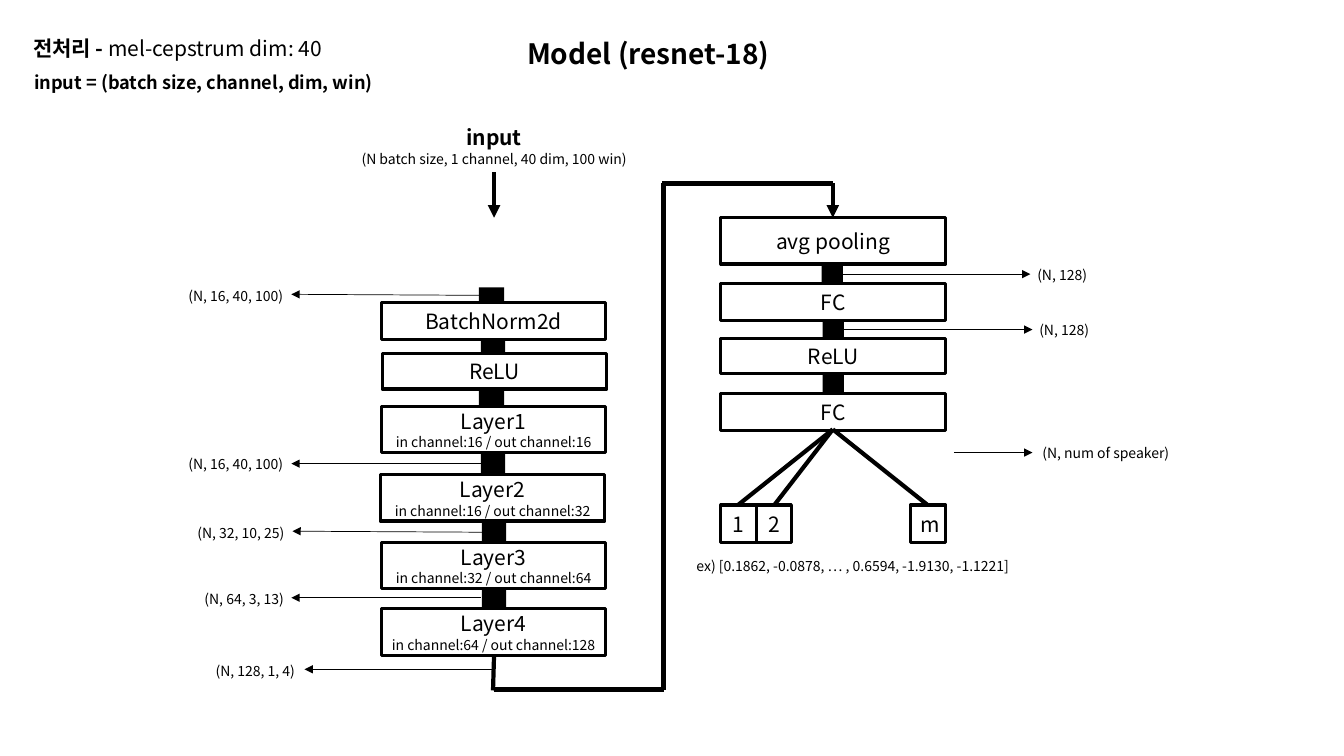
"""Draw the resnet-18 speaker model as a one-slide flow diagram."""
from lxml import etree
from pptx import Presentation
from pptx.dml.color import RGBColor
from pptx.enum import shapes, text
from pptx.oxml import ns
from pptx.util import Inches, Pt

BLACK = RGBColor(0, 0, 0)
FONT = "Noto Sans CJK KR"
LEFT, CENTER = text.PP_ALIGN.LEFT, text.PP_ALIGN.CENTER

deck = Presentation()
deck.slide_width, deck.slide_height = Inches(13.33), Inches(7.5)
page = deck.slides.add_slide(deck.slide_layouts[6])


def write_text(box, lines, align):
    """Fill a box with lines, each a list of (words, size, bold) runs."""
    frame = box.text_frame
    for index, runs in enumerate(lines):
        para = frame.paragraphs[0] if index == 0 else frame.add_paragraph()
        para.alignment = align
        for words, size, bold in runs:
            span = para.add_run()
            span.text = words
            span.font.size, span.font.bold = Pt(size), bold
            span.font.name = FONT
            span.font.color.rgb = BLACK
            east = etree.SubElement(span.font._element, ns.qn("a:ea"))
            east.set("typeface", FONT)


def draw_line(start, end, width, arrow=False):
    """Join two points with a black line, with an arrowhead if asked."""
    line = page.shapes.add_connector(
        shapes.MSO_CONNECTOR.STRAIGHT, *map(Inches, start + end))
    line.line.color.rgb = BLACK
    line.line.width = Pt(width)
    if arrow:
        head = etree.SubElement(line.line._get_or_add_ln(), ns.qn("a:tailEnd"))
        head.set("type", "triangle")
    etree.SubElement(line._element.spPr, ns.qn("a:effectLst"))


blocks = [
    (3.78, 3.0, 2.23, 0.37, "BatchNorm2d", None),
    (3.79, 3.51, 2.23, 0.35, "ReLU", None),
    (3.78, 4.03, 2.23, 0.46, "Layer1", "in channel:16 / out channel:16"),
    (3.77, 4.71, 2.23, 0.46, "Layer2", "in channel:16 / out channel:32"),
    (3.78, 5.38, 2.23, 0.46, "Layer3", "in channel:32 / out channel:64"),
    (3.78, 6.04, 2.23, 0.46, "Layer4", "in channel:64 / out channel:128"),
    (7.15, 2.16, 2.23, 0.46, "avg pooling", None),
    (7.15, 2.81, 2.23, 0.37, "FC", None),
    (7.15, 3.36, 2.23, 0.35, "ReLU", None),
    (7.15, 3.9, 2.23, 0.37, "FC", None),
    (7.15, 5.01, 0.35, 0.37, "1", None),
    (7.5, 5.01, 0.35, 0.37, "2", None),
    (9.03, 5.01, 0.35, 0.37, "m", None),
]
for *place, name, channels in blocks:
    block = page.shapes.add_shape(
        shapes.MSO_SHAPE.RECTANGLE, *map(Inches, place))
    block.shadow.inherit = False
    block.fill.background()
    block.line.color.rgb = BLACK
    block.line.width = Pt(2.25)
    block.text_frame.vertical_anchor = text.MSO_ANCHOR.MIDDLE
    lines = [[(name, 15, False)]]
    if channels:
        lines.append([(channels, 10, False)])
    write_text(block, lines, CENTER)

joints = [
    (4.75, 2.85, 0.25, 0.15), (4.77, 3.38, 0.24, 0.12),
    (4.75, 3.86, 0.25, 0.16), (4.77, 4.49, 0.24, 0.21),
    (4.78, 5.16, 0.24, 0.21), (4.78, 5.84, 0.24, 0.21),
    (8.15, 2.62, 0.21, 0.19), (8.16, 3.17, 0.21, 0.19),
    (8.16, 3.72, 0.21, 0.19),
]
for place in joints:
    joint = page.shapes.add_shape(
        shapes.MSO_SHAPE.RECTANGLE, *map(Inches, place))
    joint.shadow.inherit = False
    joint.fill.solid()
    joint.fill.fore_color.rgb = BLACK
    joint.line.fill.background()

draw_line((4.9, 1.71), (4.9, 2.16), 3, arrow=True)
draw_line((4.9, 6.5), (4.89, 6.85), 3)
draw_line((4.9, 6.84), (6.59, 6.84), 3)
draw_line((6.58, 6.85), (6.58, 1.82), 3)
draw_line((6.57, 1.82), (8.26, 1.82), 3)
draw_line((8.26, 1.82), (8.26, 2.16), 3, arrow=True)
for speaker_x in (7.32, 7.68, 9.2):
    draw_line((speaker_x, 5.01), (8.26, 4.26), 3)

size_arrows = [
    (4.77, 2.93, 2.89, 2.92), (4.77, 4.6, 2.89, 4.6),
    (4.78, 5.28, 2.9, 5.27), (4.77, 5.93, 2.89, 5.93),
    (4.9, 6.64, 3.02, 6.64), (8.34, 2.72, 10.22, 2.72),
    (8.36, 3.27, 10.24, 3.27), (9.46, 4.49, 10.24, 4.49),
]
for x1, y1, x2, y2 in size_arrows:
    draw_line((x1, y1), (x2, y2), 0.5, arrow=True)

size_labels = [
    (1.77, 2.8, 1.17, "(N, 16, 40, 100)", False),
    (1.77, 4.47, 1.17, "(N, 16, 40, 100)", False),
    (1.86, 5.15, 1.1, "(N, 32, 10, 25)", True),
    (1.93, 5.81, 1.1, "(N, 64, 3, 13)", True),
    (2.04, 6.52, 1.1, "(N, 128, 1, 4)", True),
    (10.19, 2.59, 1.1, "(N, 128)", True),
    (10.21, 3.14, 1.1, "(N, 128)", True),
    (10.24, 4.36, 1.53, "(N, num of speaker)", True),
    (6.81, 5.48, 3.33,
     "ex) [0.1862, -0.0878, … , 0.6594, -1.9130, -1.1221]", False),
]
labels = [
    (4.64, 0.31, 3.58, 0.44, True, CENTER, [[("Model (resnet-18)", 20, True)]]),
    (0.23, 0.3, 5.81, 0.35, True, LEFT,
     [[("전처리 - ", 15, True), ("mel-cepstrum dim: 40", 15, False)]]),
    (0.24, 0.66, 3.56, 0.32, False, LEFT,
     [[("input = (batch size, channel, dim, win)", 13, True)]]),
    (3.11, 1.19, 3.58, 0.52, True, CENTER,
     [[("input", 15, True)],
      [("(N batch size, 1 channel, 40 dim, 100 win)", 10, False)]]),
]
labels += [(x, y, width, 0.27, wrap, LEFT, [[(words, 10, False)]])
           for x, y, width, words, wrap in size_labels]
for *place, wrap, align, lines in labels:
    label = page.shapes.add_textbox(*map(Inches, place))
    label.text_frame.word_wrap = wrap
    label.text_frame.auto_size = text.MSO_AUTO_SIZE.SHAPE_TO_FIT_TEXT
    write_text(label, lines, align)

deck.save("out.pptx")
